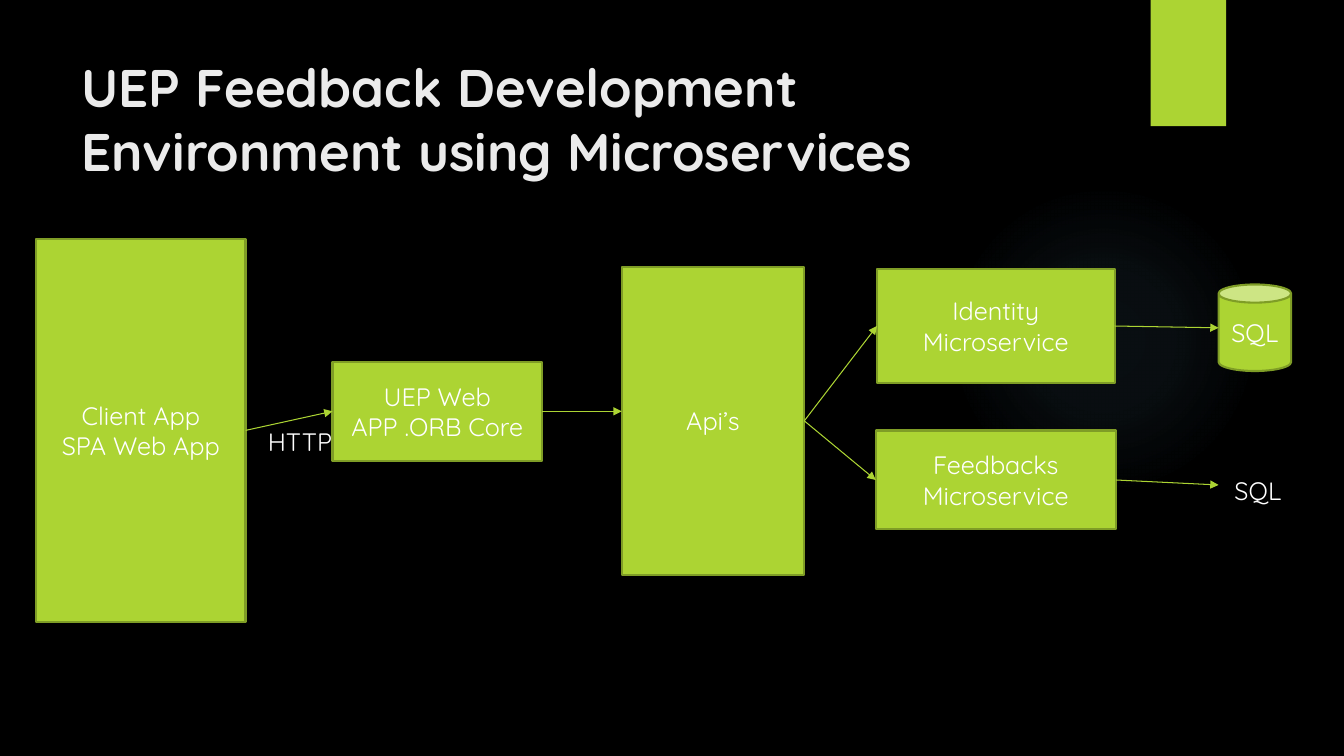
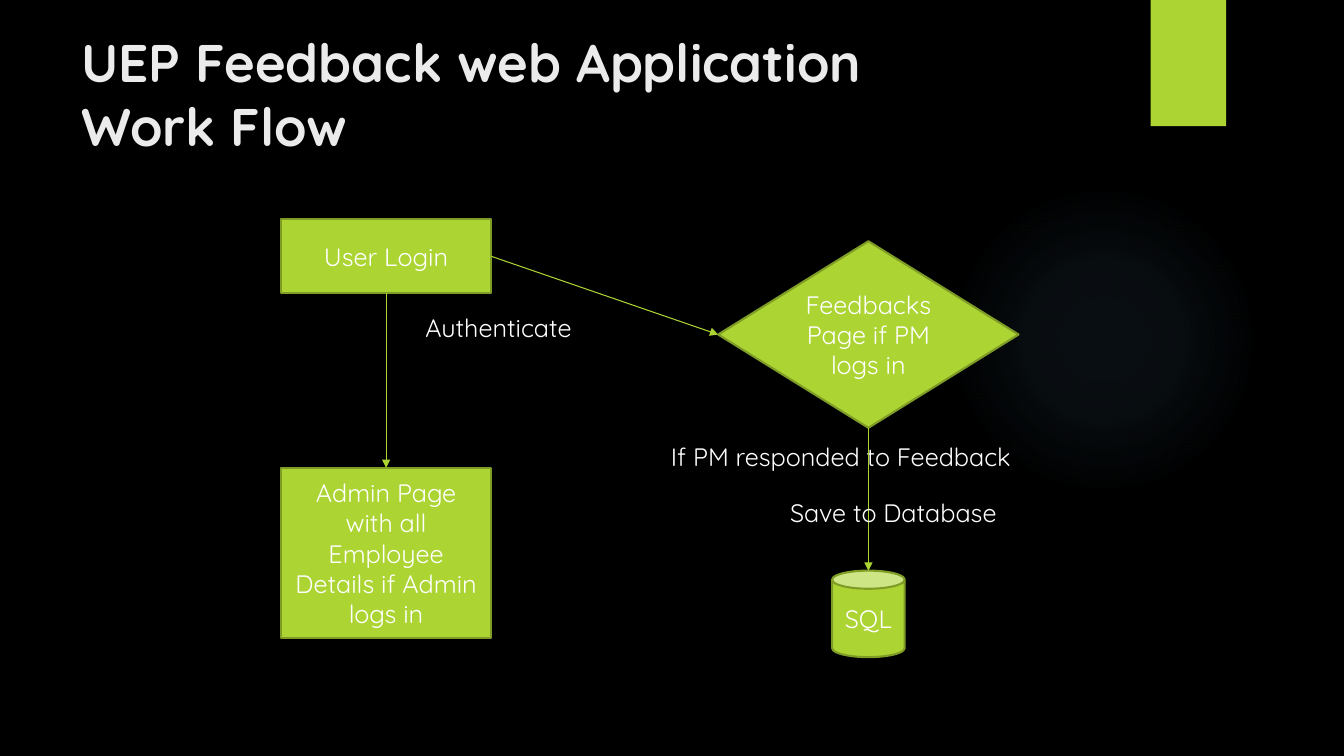
"""Build two slides: a microservice architecture and an application work flow."""
import pptx
import pptx.dml.color
import pptx.enum.shapes
import pptx.enum.text
import pptx.oxml
import pptx.oxml.ns
import pptx.util
from pptx.util import Cm

FONT = "Quicksand"
BLACK = "000000"
WHITE = "FFFFFF"
TITLE_GREY = "EBEBEB"
LIME = "ACD433"
OLIVE = "7F9D26"
GLOW_BLUE = "7AC4F0"
GLOW_STOPS = ((0, 7), (36, 6), (69, 0))
SHAPES = pptx.enum.shapes.MSO_SHAPE
TOP, LEFT, BOTTOM, RIGHT = range(4)
BOX_WIDTH = 5.28
SQL_SIZE = (1.83, 2.18)


def rgb(hex_colour):
    """Turn a hex string into a colour."""
    return pptx.dml.color.RGBColor.from_string(hex_colour)


def add_xml(parent, tag, attributes="", content="", index=None):
    """Put a drawing element into its parent, at the end by default."""
    namespace = pptx.oxml.ns.nsdecls("a")
    element = pptx.oxml.parse_xml(f"<a:{tag} {namespace} {attributes}>{content}</a:{tag}>")
    parent.insert(len(parent) if index is None else index, element)


def write(frame, text, size=18, colour=WHITE, bold=False, align=pptx.enum.text.PP_ALIGN.LEFT):
    """Write one paragraph for each line of the text."""
    frame.word_wrap = True
    for number, line in enumerate(text.split("\n")):
        paragraph = frame.add_paragraph() if number else frame.paragraphs[0]
        paragraph.alignment = align
        run = paragraph.add_run()
        run.text = line
        run.font.name = FONT
        run.font.size = pptx.util.Pt(size)
        run.font.bold = bold
        run.font.color.rgb = rgb(colour)


def add_plain(slide, kind, left, top, width, height):
    """Add a shape with neither outline nor shadow."""
    shape = slide.shapes.add_shape(kind, Cm(left), Cm(top), Cm(width), Cm(height))
    shape.shadow.inherit = False
    shape.line.fill.background()
    return shape


def add_glow(slide):
    """Add the faint round glow behind the content."""
    glow = add_plain(slide, SHAPES.OVAL, 23.9, 4.65, 7.82, 7.82)
    stops = "".join(
        f'<a:gs pos="{position * 1000}"><a:srgbClr val="{GLOW_BLUE}">'
        f'<a:alpha val="{opacity * 1000}"/></a:srgbClr></a:gs>'
        for position, opacity in GLOW_STOPS
    )
    centre = '<a:fillToRect l="50000" t="50000" r="50000" b="50000"/>'
    content = f'<a:gsLst>{stops}</a:gsLst><a:path path="circle">{centre}</a:path>'
    add_xml(glow._element.spPr, "gradFill", 'rotWithShape="1"', content, index=2)


def add_label(slide, text, left, top, width, height=1.02, **style):
    """Add text without a frame."""
    label = slide.shapes.add_textbox(Cm(left), Cm(top), Cm(width), Cm(height))
    write(label.text_frame, text, **style)


def add_node(slide, text, left, top, width, height, kind=SHAPES.RECTANGLE):
    """Add a lime step of the diagram with centred text."""
    node = add_plain(slide, kind, left, top, width, height)
    node.fill.solid()
    node.fill.fore_color.rgb = rgb(LIME)
    node.line.color.rgb = rgb(OLIVE)
    node.line.width = pptx.util.Pt(1.5)
    node.text_frame.vertical_anchor = pptx.enum.text.MSO_ANCHOR.MIDDLE
    write(node.text_frame, text, align=pptx.enum.text.PP_ALIGN.CENTER)
    return node


def add_arrow(slide, source, source_side, target, target_side=None):
    """Draw an arrow from a node to another node's side, or to a point."""
    end = (0, 0) if target_side is not None else target
    arrow = slide.shapes.add_connector(pptx.enum.shapes.MSO_CONNECTOR.STRAIGHT, 0, 0, *end)
    arrow.begin_connect(source, source_side)
    if target_side is not None:
        arrow.end_connect(target, target_side)
    arrow.line.color.rgb = rgb(LIME)
    arrow.line.width = pptx.util.Pt(0.75)
    add_xml(arrow.line._get_or_add_ln(), "tailEnd", 'type="triangle"')
    add_xml(arrow._element.spPr, "effectLst")


def add_slide(deck, title, title_top):
    """Add a slide with the shared glow, band and title."""
    slide = deck.slides.add_slide(deck.slide_layouts[6])
    slide.background.fill.solid()
    slide.background.fill.fore_color.rgb = rgb(BLACK)
    add_glow(slide)
    band = add_plain(slide, SHAPES.RECTANGLE, 29, 0, 1.9, 3.18)
    band.fill.solid()
    band.fill.fore_color.rgb = rgb(LIME)
    add_label(slide, title, 1.8, title_top, 23.88, 3.3, size=37.8, colour=TITLE_GREY, bold=True)
    return slide


def build_architecture(deck):
    """Show the client, the web app, the APIs and the microservices."""
    slide = add_slide(deck, "UEP Feedback Development Environment using Microservices", 1.25)
    client = add_node(slide, "Client App\nSPA Web App", 0.91, 6.02, BOX_WIDTH, 9.65)
    web_app = add_node(slide, "UEP Web APP .ORB Core", 8.38, 9.12, BOX_WIDTH, 2.49)
    apis = add_node(slide, "Api’s", 15.67, 6.73, 4.6, 7.75, SHAPES.FLOWCHART_PROCESS)
    identity = add_node(slide, "Identity Microservice", 22.1, 6.78, 5.99, 2.87)
    feedbacks = add_node(slide, "Feedbacks Microservice", 22.07, 10.85, 6.05, 2.49)
    database = add_node(slide, "SQL", 30.71, 7.17, *SQL_SIZE, SHAPES.CAN)

    for source, target in ((client, web_app), (apis, identity), (apis, feedbacks)):
        add_arrow(slide, source, RIGHT, target, LEFT)
    add_arrow(slide, web_app, RIGHT, (apis.left, web_app.top + web_app.height // 2))
    add_arrow(slide, identity, RIGHT, (database.left, database.top + database.height // 2))
    add_arrow(slide, feedbacks, RIGHT, (database.left, Cm(12.22)))
    add_label(slide, "SQL", 30.86, 11.85, 2)
    add_label(slide, "HTTP", 6.5, 10.62, 2.3)


def build_work_flow(deck):
    """Show what happens after a user logs in."""
    slide = add_slide(deck, "UEP Feedback web Application Work Flow", 0.62)
    login = add_node(slide, "User Login", 7.09, 5.53, BOX_WIDTH, 1.85)
    admin = add_node(slide, "Admin Page with all Employee Details if Admin logs in",
                     7.09, 11.79, BOX_WIDTH, 4.29)
    feedback_page = add_node(slide, "Feedbacks Page if PM logs in",
                             18.1, 6.08, 7.57, 4.7, SHAPES.FLOWCHART_DECISION)
    database = add_node(slide, "SQL", 20.97, 14.38, *SQL_SIZE, SHAPES.CAN)

    add_arrow(slide, login, BOTTOM, admin, TOP)
    add_arrow(slide, login, RIGHT, feedback_page, LEFT)
    add_label(slide, "Authenticate", 10.47, 7.75, 4.98)
    add_label(slide, "If PM responded to Feedback", 16.66, 11, 9.78)
    add_arrow(slide, feedback_page, BOTTOM, (database.left + database.width // 2, database.top))
    add_label(slide, "Save to Database", 19.66, 12.4, 8.71)


def main():
    """Build and save the presentation."""
    deck = pptx.Presentation()
    deck.slide_width = Cm(33.87)
    deck.slide_height = Cm(19.05)
    build_architecture(deck)
    build_work_flow(deck)
    deck.save("out.pptx")


if __name__ == "__main__":
    main()
